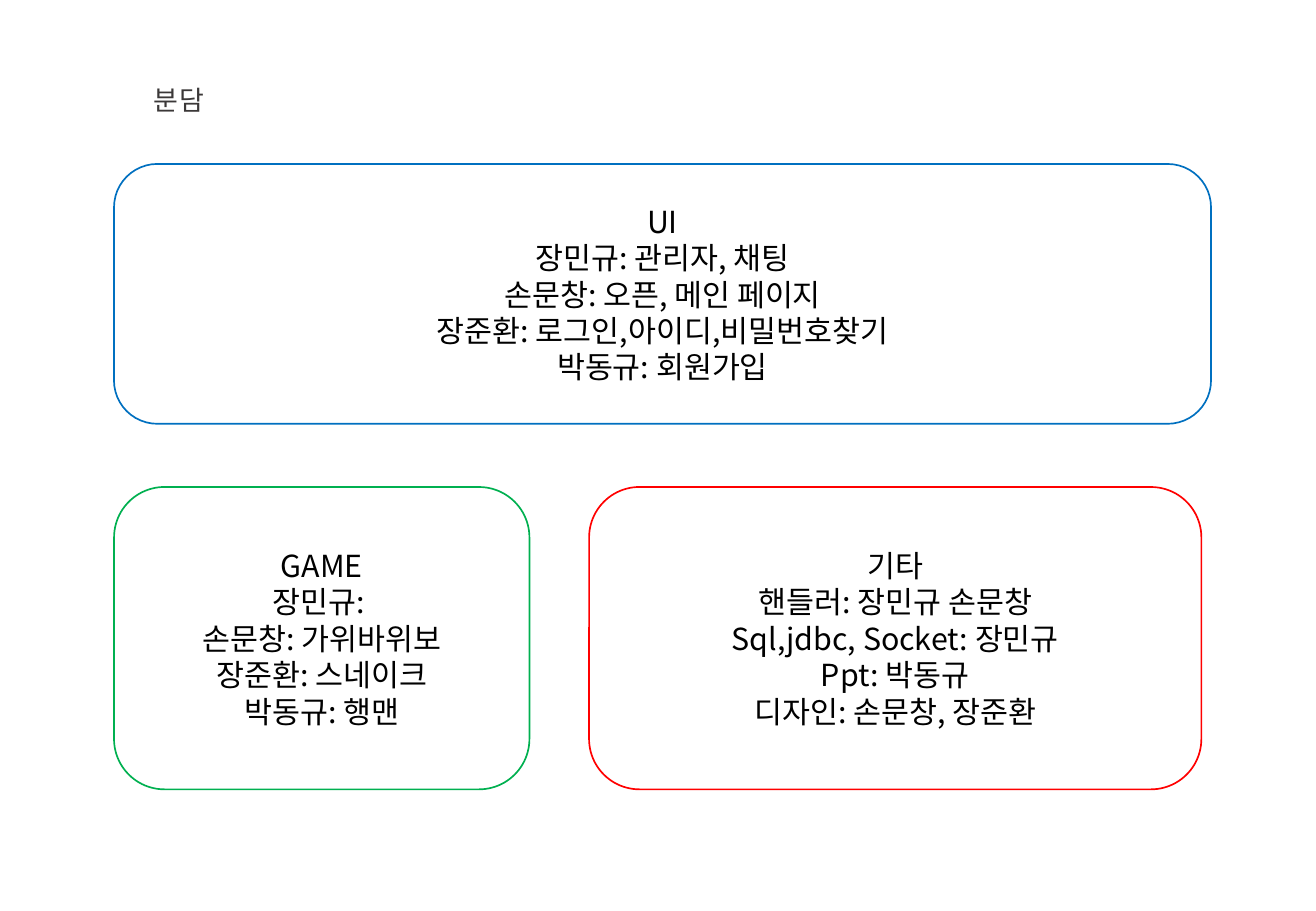
import pptx
import pptx.util
import pptx.dml.color
import pptx.enum.shapes
import pptx.enum.text
import lxml.etree

Pt = pptx.util.Pt
ALIGN = pptx.enum.text.PP_ALIGN
FONT = "Noto Sans CJK KR"
LINE_RATIO = 1.2
LEFT = 67.6
LOWER_TOP = 288.7
LOWER_HEIGHT = 179.2

CARDS = [
    ((LEFT, 97.2, 650.2, 154), "0070C0",
     ["UI", "장민규: 관리자, 채팅", "손문창: 오픈, 메인 페이지",
      "장준환: 로그인,아이디,비밀번호찾기", "박동규: 회원가입"]),
    ((LEFT, LOWER_TOP, 246.2, LOWER_HEIGHT), "00B050",
     ["GAME", "장민규: ", "손문창: 가위바위보", "장준환: 스네이크", "박동규: 행맨"]),
    ((349.2, LOWER_TOP, 362.9, LOWER_HEIGHT), "FF0000",
     ["기타", "핸들러: 장민규 손문창", "Sql,jdbc, Socket: 장민규",
      "Ppt: 박동규", "디자인: 손문창, 장준환"]),
]


def color(value):
    return pptx.dml.color.RGBColor.from_string(value)


def write(para, text, size=18, fill="000000", align=ALIGN.CENTER, spacing=0):
    para.alignment = align
    para.line_spacing = Pt(size * LINE_RATIO)
    span = para.add_run()
    span.text = text
    span.font.size = Pt(size)
    span.font.name = FONT
    span.font.color.rgb = color(fill)
    properties = span.font._element
    if spacing:
        properties.set("spc", str(round(spacing * 100)))
    east_asian = lxml.etree.SubElement(properties, pptx.oxml.ns.qn("a:ea"))
    east_asian.set("typeface", FONT)


def add_title(page, box, text):
    frame = page.shapes.add_textbox(*map(Pt, box)).text_frame
    frame.word_wrap = True
    write(frame.paragraphs[0], text, size=16, fill="3B3838",
          align=ALIGN.LEFT, spacing=-1.5)


def add_card(page, box, outline, lines):
    card = page.shapes.add_shape(
        pptx.enum.shapes.MSO_SHAPE.ROUNDED_RECTANGLE, *map(Pt, box))
    card.shadow.inherit = False
    card.fill.solid()
    card.fill.fore_color.rgb = color("FFFFFF")
    card.line.color.rgb = color(outline)
    card.line.width = Pt(1)
    frame = card.text_frame
    frame.word_wrap = True
    frame.vertical_anchor = pptx.enum.text.MSO_ANCHOR.MIDDLE
    for index, line in enumerate(lines):
        para = frame.add_paragraph() if index else frame.paragraphs[0]
        write(para, line)


deck = pptx.Presentation()
deck.slide_width, deck.slide_height = Pt(780), Pt(540)
page = deck.slides.add_slide(deck.slide_layouts[6])
add_title(page, (84.2, 46.1, 313.2, 26.6), "분 담")
for box, outline, lines in CARDS:
    add_card(page, box, outline, lines)
deck.save("out.pptx")
